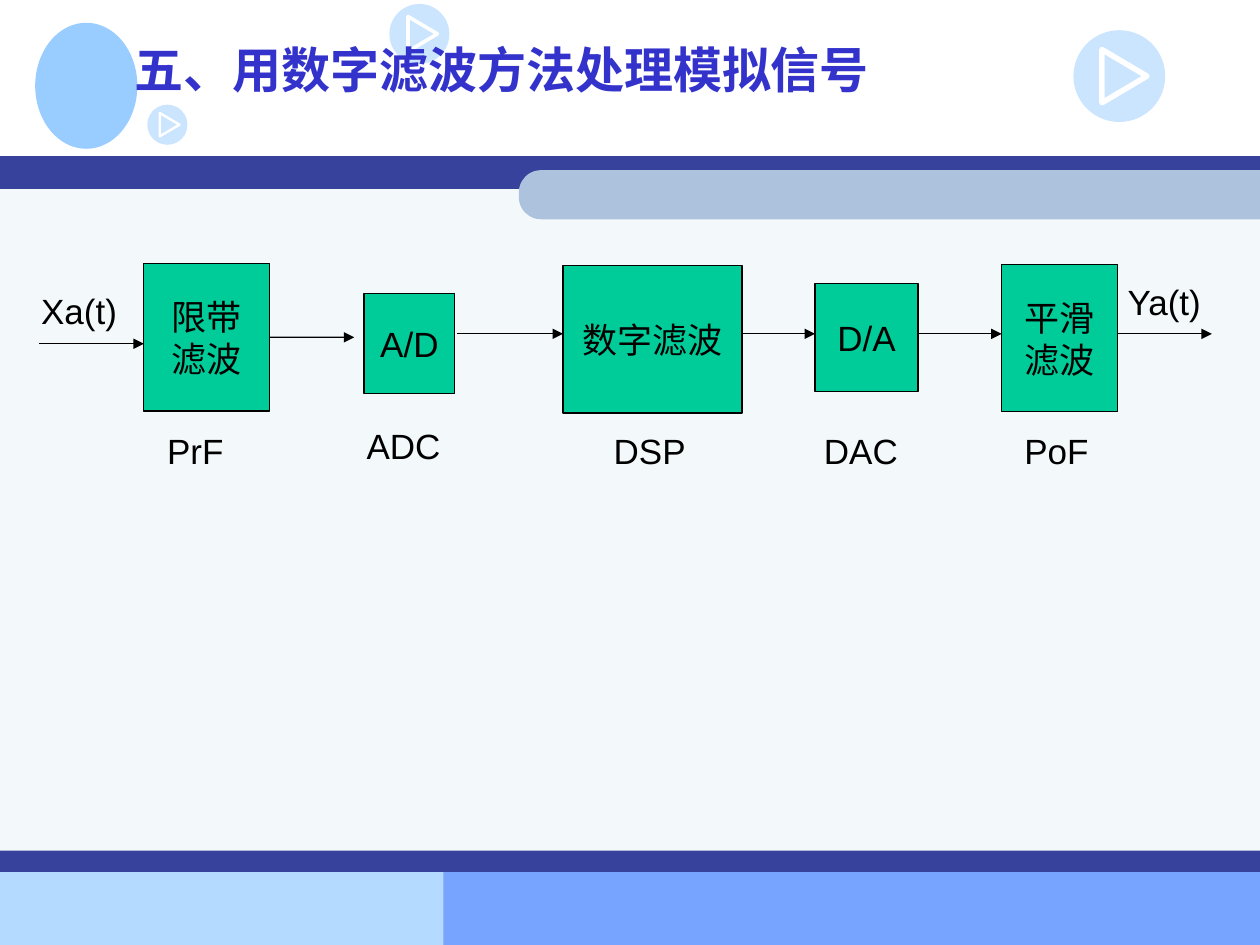
from dataclasses import dataclass
from typing import Optional

from lxml import etree
from pptx import Presentation
from pptx.dml.color import RGBColor
from pptx.enum.shapes import MSO_CONNECTOR as Conn, MSO_SHAPE as Geo
from pptx.enum.text import MSO_ANCHOR as Anchor, PP_ALIGN as Align
from pptx.oxml.ns import qn
from pptx.util import Cm, Pt


@dataclass(frozen=True)
class Theme:
    navy: str = "36429B"
    panel: str = "F3F8FB"
    bar: str = "ADC3DD"
    foot_light: str = "B5DAFF"
    foot_blue: str = "77A4FF"
    sky: str = "99CCFF"
    title: str = "3333CC"
    block: str = "00CC99"
    ink: str = "000000"
    white: str = "FFFFFF"
    title_font: str = "Times New Roman"
    body_font: str = "Arial"
    title_size: float = 28
    body_size: float = 20
    line: float = 0.75


@dataclass(frozen=True)
class Box:
    x: float
    y: float
    w: float
    h: float


@dataclass(frozen=True)
class Block:
    lines: tuple[str, ...]
    box: Box


@dataclass(frozen=True)
class Label:
    text: str
    x: float
    y: float
    w: float


@dataclass(frozen=True)
class Arrow:
    x1: float
    x2: float
    y: float
    source: Optional[int] = None


@dataclass(frozen=True)
class PlayButton:
    x: float
    y: float
    d: float


T = Theme()
WIDTH, HEIGHT = 25.4, 19.05
LABEL_H = 1.09
RIGHT_SIDE = 3

BANDS = [
    (Box(0, 17.58, 10.8, 1.47), T.foot_light),
    (Box(8.94, 17.55, 16.46, 1.5), T.foot_blue),
    (Box(0, 3.56, WIDTH, 14), T.panel),
    (Box(0, 3.15, WIDTH, 0.66), T.navy),
    (Box(0, 17.15, WIDTH, 0.43), T.navy),
]
BUTTONS = [
    PlayButton(7.85, 0.08, 1.21),
    PlayButton(21.64, 0.61, 1.85),
    PlayButton(2.97, 2.11, 0.81),
]
BLOCKS = [
    Block(("限带", "滤波"), Box(2.9, 5.31, 2.54, 2.98)),
    Block(("A/D",), Box(7.34, 5.92, 1.83, 2.01)),
    Block(("数字滤波",), Box(11.35, 5.36, 3.61, 2.97)),
    Block(("D/A",), Box(16.43, 5.72, 2.08, 2.18)),
    Block(("平滑", "滤波"), Box(20.19, 5.33, 2.34, 2.97)),
]
ARROWS = [
    Arrow(0.79, 2.9, 6.93),
    Arrow(5.44, 7.14, 6.8, source=0),
    Arrow(9.22, 11.35, 6.73),
    Arrow(14.94, 16.43, 6.73),
    Arrow(18.49, 20.19, 6.73),
    Arrow(22.53, 24.43, 6.73),
]
LABELS = [
    Label("Xa(t)", 0.58, 5.72, 2.74),
    Label("PrF", 3.12, 8.53, 2.34),
    Label("ADC", 7.14, 8.43, 2.74),
    Label("DSP", 12.12, 8.53, 3.18),
    Label("DAC", 16.36, 8.53, 2.54),
    Label("PoF", 20.4, 8.53, 2.34),
    Label("Ya(t)", 22.48, 5.54, 2.74),
]


def rgb(color: str) -> RGBColor:
    return RGBColor.from_string(color)


def add_run(p, text: str, size: float = T.body_size, font: str = T.body_font,
            color: str = T.ink, bold: bool = False) -> None:
    r = p.add_run()
    r.text = text
    r.font.size = Pt(size)
    r.font.name = font
    r.font.bold = bold
    r.font.color.rgb = rgb(color)


def add_shape(s, geo: Geo, box: Box, fill: str, line: Optional[str] = None):
    sp = s.shapes.add_shape(geo, Cm(box.x), Cm(box.y), Cm(box.w), Cm(box.h))
    sp.shadow.inherit = False
    sp.fill.solid()
    sp.fill.fore_color.rgb = rgb(fill)
    if line:
        sp.line.color.rgb = rgb(line)
        sp.line.width = Pt(T.line)
    else:
        sp.line.fill.background()
    return sp


def add_rounded_bar(s, box: Box) -> None:
    turned = Box(box.x + (box.w - box.h) / 2, box.y + (box.h - box.w) / 2, box.h, box.w)
    sp = add_shape(s, Geo.ROUND_2_SAME_RECTANGLE, turned, T.bar)
    sp.adjustments[0] = 0.45
    sp.rotation = 270


def add_button(s, b: PlayButton) -> None:
    disc = add_shape(s, Geo.OVAL, Box(b.x, b.y, b.d, b.d), T.sky)
    color = disc.fill._xPr.find(qn("a:solidFill"))[0]
    etree.SubElement(color, qn("a:alpha"), val="50000")
    corners = [(Cm(b.x + fx * b.d), Cm(b.y + fy * b.d))
               for fx, fy in ((0.31, 0.21), (0.8, 0.5), (0.31, 0.79))]
    fb = s.shapes.build_freeform(*corners[0])
    fb.add_line_segments(corners[1:], close=True)
    sp = fb.convert_to_shape()
    sp.shadow.inherit = False
    sp.fill.background()
    sp.line.color.rgb = rgb(T.white)
    sp.line.width = Cm(0.06 * b.d)
    etree.SubElement(sp.line._get_or_add_ln(), qn("a:round"))


def add_text_box(s, box: Box):
    sp = s.shapes.add_textbox(Cm(box.x), Cm(box.y), Cm(box.w), Cm(box.h))
    sp.text_frame.word_wrap = True
    return sp.text_frame.paragraphs[0]


def add_block(s, block: Block):
    sp = add_shape(s, Geo.RECTANGLE, block.box, T.block, T.ink)
    tf = sp.text_frame
    tf.word_wrap = False
    tf.vertical_anchor = Anchor.MIDDLE
    for i, line in enumerate(block.lines):
        p = tf.add_paragraph() if i else tf.paragraphs[0]
        p.alignment = Align.CENTER
        add_run(p, line)
    return sp


def add_arrow(s, a: Arrow, blocks: list) -> None:
    c = s.shapes.add_connector(Conn.STRAIGHT, Cm(a.x1), Cm(a.y), Cm(a.x2), Cm(a.y))
    if a.source is not None:
        c.begin_connect(blocks[a.source], RIGHT_SIDE)
    c.line.color.rgb = rgb(T.ink)
    c.line.width = Pt(T.line)
    etree.SubElement(c.line._get_or_add_ln(), qn("a:tailEnd"), type="triangle")
    etree.SubElement(c._element.spPr, qn("a:effectLst"))


def main() -> None:
    prs = Presentation()
    prs.slide_width, prs.slide_height = Cm(WIDTH), Cm(HEIGHT)
    s = prs.slides.add_slide(prs.slide_layouts[6])
    for box, fill in BANDS:
        add_shape(s, Geo.RECTANGLE, box, fill)
    add_rounded_bar(s, Box(10.46, 3.43, 14.94, 0.99))
    add_shape(s, Geo.OVAL, Box(0.71, 0.46, 2.06, 2.54), T.sky)
    for button in BUTTONS:
        add_button(s, button)
    p = add_text_box(s, Box(2.47, 0.91, 22.04, 2.01))
    p.line_spacing = 0.8
    add_run(p, "五、用数字滤波方法处理模拟信号", T.title_size, T.title_font, T.title, True)
    blocks = [add_block(s, block) for block in BLOCKS]
    for arrow in ARROWS:
        add_arrow(s, arrow, blocks)
    for label in LABELS:
        add_run(add_text_box(s, Box(label.x, label.y, label.w, LABEL_H)), label.text)
    prs.save("out.pptx")


if __name__ == "__main__":
    main()
